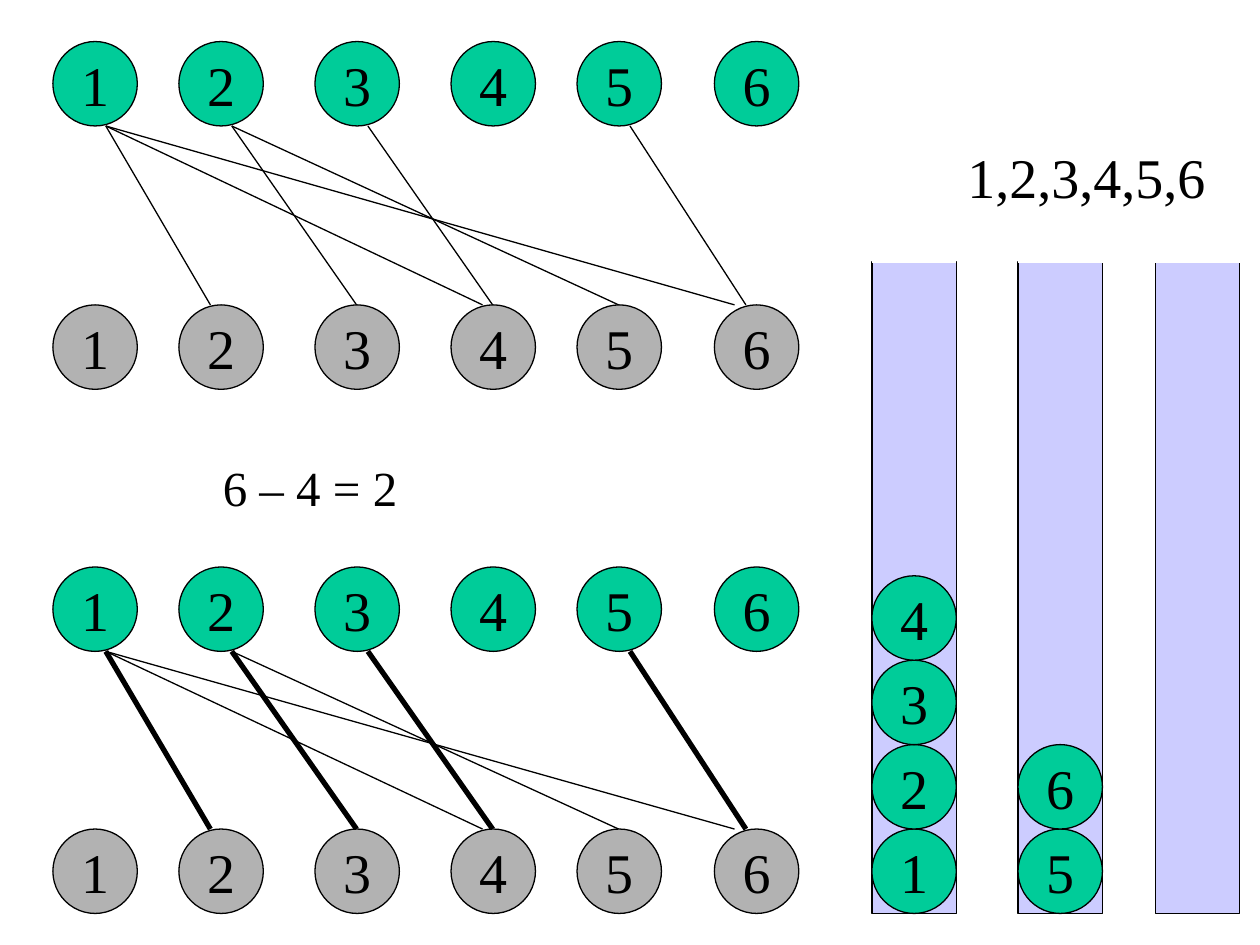
from lxml.etree import SubElement
from pptx import Presentation
from pptx.dml.color import RGBColor
from pptx.enum.shapes import MSO_CONNECTOR, MSO_SHAPE
from pptx.enum.text import MSO_ANCHOR, PP_ALIGN
from pptx.oxml.ns import qn
from pptx.util import Inches, Pt

COLORS = {
    "ink": "000000",
    "paper": "FFFFFF",
    "tube": "CCCCFF",
    "green": "00CC99",
    "gray": "B2B2B2",
}
FONT = "Times New Roman"
BALL = 0.67
COLUMNS = [0.42, 1.42, 2.5, 3.58, 4.58, 5.67]
TUBE_TOP, TUBE_BOTTOM = 2.08, 7.25
TUBES = [(6.92, "1234"), (8.08, "56"), (9.17, "")]
# Upper node, lower node, end offset from the lower node's left, in the matching
EDGES = [
    (1, 2, 0.25, True),
    (1, 4, 0.25, False),
    (1, 6, 0.16, False),
    (2, 3, 0.33, True),
    (2, 5, 0.33, False),
    (3, 4, 0.33, True),
    (5, 6, 0.25, True),
]
EDGE_START = 0.42


def add_line(shapes, start, end, color, width):
    """Draw a straight line between two (x, y) points given in inches."""
    ends = [Inches(value) for value in (*start, *end)]
    line = shapes.add_connector(MSO_CONNECTOR.STRAIGHT, *ends)
    line.line.color.rgb = RGBColor.from_string(COLORS[color])
    line.line.width = Pt(width)
    SubElement(line._element.spPr, qn("a:effectLst"))


def write(para, text, size):
    span = para.add_run()
    span.text = text
    span.font.name = FONT
    span.font.size = Pt(size)
    span.font.color.rgb = RGBColor.from_string(COLORS["ink"])


deck = Presentation()
deck.slide_width, deck.slide_height = Inches(10), Inches(7.5)
page = deck.slides.add_slide(deck.slide_layouts[6])

# Tubes, open at the top
balls = []
for left, labels in TUBES:
    group = page.shapes.add_group_shape()
    tube = group.shapes.add_shape(
        MSO_SHAPE.RECTANGLE, Inches(left), Inches(TUBE_TOP),
        Inches(BALL), Inches(TUBE_BOTTOM - TUBE_TOP))
    tube.shadow.inherit = False
    tube.fill.solid()
    tube.fill.fore_color.rgb = RGBColor.from_string(COLORS["tube"])
    tube.line.color.rgb = RGBColor.from_string(COLORS["ink"])
    tube.line.width = Pt(0.75)
    add_line(group.shapes, (left, TUBE_TOP), (left + BALL, TUBE_TOP), "paper", 0.75)
    for level, label in enumerate(labels, start=1):
        balls.append((label, left, TUBE_BOTTOM - level * BALL, "green"))

# Two bipartite graphs: all edges, then the matching in bold
for upper, lower, bold_width in [(0.33, 2.42, 0.75), (4.5, 6.58, 3)]:
    for top, color in [(upper, "green"), (lower, "gray")]:
        for number, left in enumerate(COLUMNS, start=1):
            balls.append((str(number), left, top, color))
    for source, target, offset, matched in EDGES:
        start = (COLUMNS[source - 1] + EDGE_START, upper + BALL)
        end = (COLUMNS[target - 1] + offset, lower)
        add_line(page.shapes, start, end, "ink", bold_width if matched else 0.75)

for label, left, top, color in balls:
    ball = page.shapes.add_shape(
        MSO_SHAPE.OVAL, Inches(left), Inches(top), Inches(BALL), Inches(BALL))
    ball.shadow.inherit = False
    ball.fill.solid()
    ball.fill.fore_color.rgb = RGBColor.from_string(COLORS[color])
    ball.line.color.rgb = RGBColor.from_string(COLORS["ink"])
    ball.line.width = Pt(0.75)
    ball.text_frame.word_wrap = False
    ball.text_frame.vertical_anchor = MSO_ANCHOR.MIDDLE
    para = ball.text_frame.paragraphs[0]
    para.alignment = PP_ALIGN.CENTER
    write(para, label, 32)

# Captions
for text, size, left, top, width, height in [
    ("1,2,3,4,5,6", 32, 7.58, 1.08, 2.25, 0.64),
    ("6 – 4 = 2", 28, 1.67, 3.58, 1.75, 0.57),
]:
    box = page.shapes.add_textbox(
        Inches(left), Inches(top), Inches(width), Inches(height))
    box.text_frame.word_wrap = True
    write(box.text_frame.paragraphs[0], text, size)

deck.save("out.pptx")
